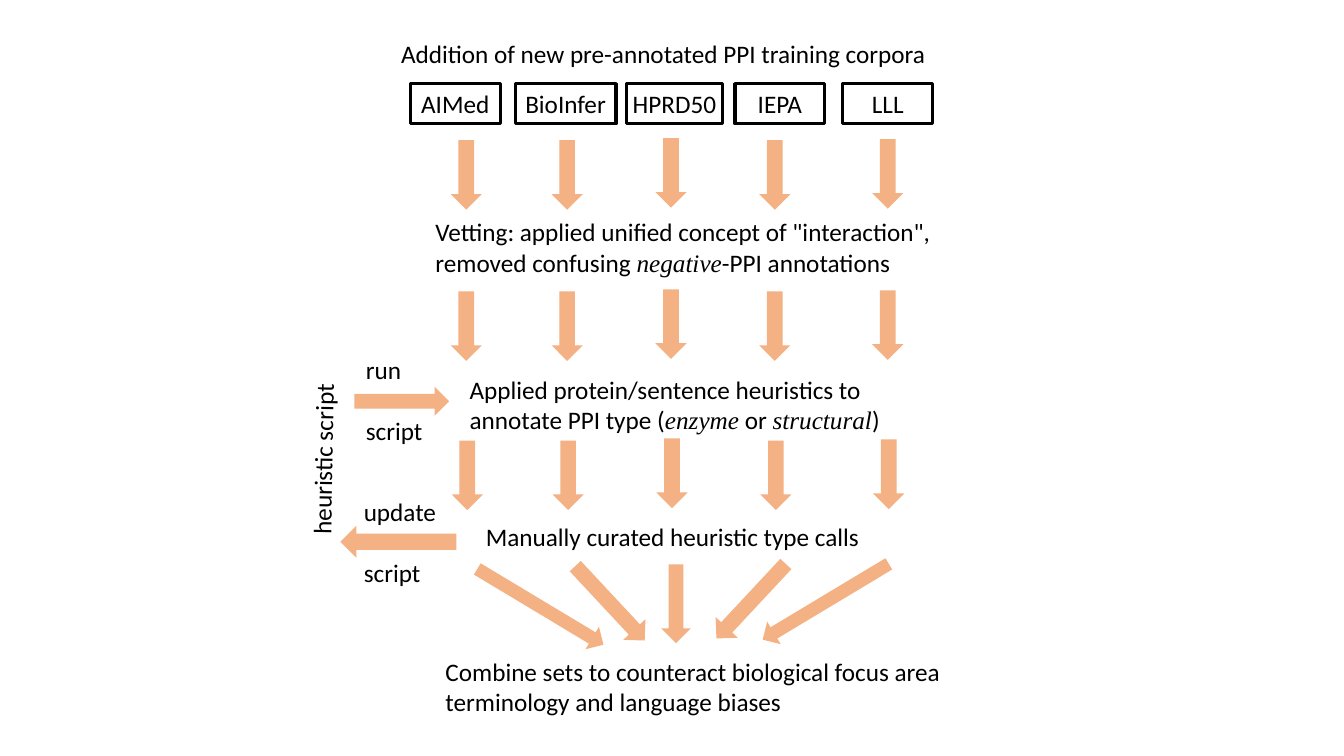
"""Builds a flow diagram of how PPI training corpora are vetted, annotated and combined."""
from pptx import Presentation
from pptx.dml.color import RGBColor
from pptx.enum.shapes import MSO_SHAPE
from pptx.enum.text import MSO_ANCHOR, PP_ALIGN
from pptx.util import Inches, Pt

RECT, DOWN = MSO_SHAPE.RECTANGLE, MSO_SHAPE.DOWN_ARROW
LEFT, CENTER = PP_ALIGN.LEFT, PP_ALIGN.CENTER
TOP, MIDDLE = MSO_ANCHOR.TOP, MSO_ANCHOR.MIDDLE
COLORS = {"text": "000000", "edge": "000000", "arrow": "F4B183"}


def write(text, left, top, width, height, box=None, align=LEFT, anchor=TOP, gap=0, turn=0, inset=0.1):
    """Set text in a box; parts between asterisks are italic."""
    box = box or slide.shapes.add_textbox(*map(Inches, (left, top, width, height)))
    box.rotation = turn
    frame = box.text_frame
    frame.word_wrap = True
    frame.vertical_anchor = anchor
    frame.margin_left = frame.margin_right = Inches(inset)
    for row, line in enumerate(text.split("\n")):
        para = frame.add_paragraph() if row else frame.paragraphs[0]
        para.alignment = align
        para.space_before = Pt(gap if row else 0)
        for part, words in enumerate(line.split("*")):
            run = para.add_run()
            run.text = words
            font = run.font
            font.size = Pt(18)
            font.italic = part % 2 == 1
            font.name = "Times New Roman" if font.italic else "Calibri"
            font.color.rgb = RGBColor.from_string(COLORS["text"])


def arrow(left, top, width, height, turn=0):
    """Draw a down arrow turned by the given degrees."""
    shape = slide.shapes.add_shape(DOWN, *map(Inches, (left, top, width, height)))
    shape.rotation = turn
    shape.shadow.inherit = False
    shape.fill.solid()
    shape.fill.fore_color.rgb = RGBColor.from_string(COLORS["arrow"])
    shape.line.fill.background()


deck = Presentation()
deck.slide_width, deck.slide_height = Inches(13.33), Inches(7.5)
slide = deck.slides.add_slide(deck.slide_layouts[6])

corpora = [("AIMed", 4.07, 0.89), ("BioInfer", 5.11, 1), ("HPRD50", 6.21, 0.96),
           ("IEPA", 7.29, 0.89), ("LLL", 8.36, 0.89)]
for name, left, width in corpora:
    place = (left, 0.83, width, 0.4)
    frame = slide.shapes.add_shape(RECT, *map(Inches, place))
    frame.shadow.inherit = False
    frame.fill.background()
    frame.line.color.rgb = RGBColor.from_string(COLORS["edge"])
    frame.line.width = Pt(2.25)
    write(name, *place, box=frame, align=CENTER, anchor=MIDDLE, inset=0)

lanes = [(4.47, 0.02), (5.47, 0.02), (6.5, 0), (7.53, 0.02), (8.65, 0.01)]
for top, shift in [(1.37, 0), (2.87, 0), (4.35, 0.01)]:
    for left, drop in lanes:
        arrow(left + shift, top + drop, 0.31, 0.69)

merges = [(5.23, 5.29, 0.26, 1.46, 301), (5.9, 5.48, 0.3, 1.01, 317), (6.56, 5.6, 0.29, 0.78, 0),
          (7.3, 5.46, 0.3, 1.01, 43), (8.06, 5.24, 0.26, 1.46, 59)]
loops = [(3.84, 3.51, 0.29, 0.94, 270), (3.79, 4.8, 0.32, 1.15, 90)]
for place in merges + loops:
    arrow(*place)

steps = [
    ("Addition of new pre-annotated PPI training corpora", 3.88, 0.33, 5.57, 0.4),
    ('Vetting: applied unified concept of "interaction", removed confusing *negative*-PPI annotations',
     4.22, 2.1, 5.18, 0.71),
    ("Applied protein/sentence heuristics to annotate PPI type (*enzyme* or *structural*)",
     4.56, 3.66, 4.46, 0.71),
    ("Manually curated heuristic type calls", 4.72, 5.12, 4.46, 0.4),
    ("Combine sets to counteract biological focus area terminology and language biases",
     4.32, 6.46, 5.47, 0.71),
]
for step in steps:
    write(*step)

write("heuristic script", 2.33, 4.33, 1.74, 0.4, turn=271)
write("run\nscript", 3.53, 3.47, 1.03, 1.01, gap=22)
write("update\nscript", 3.51, 4.87, 1.1, 1.01, gap=22)

deck.save("out.pptx")
